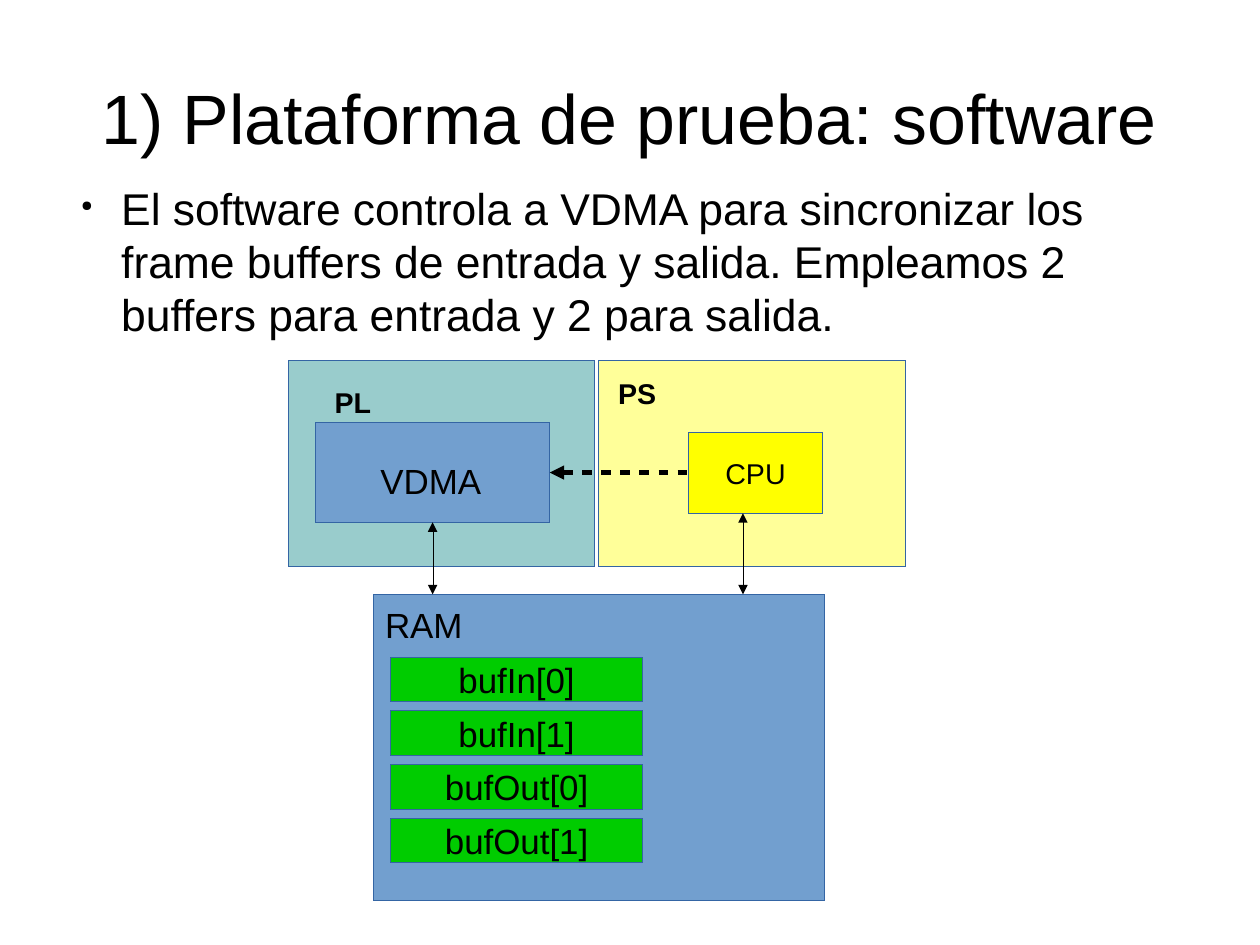
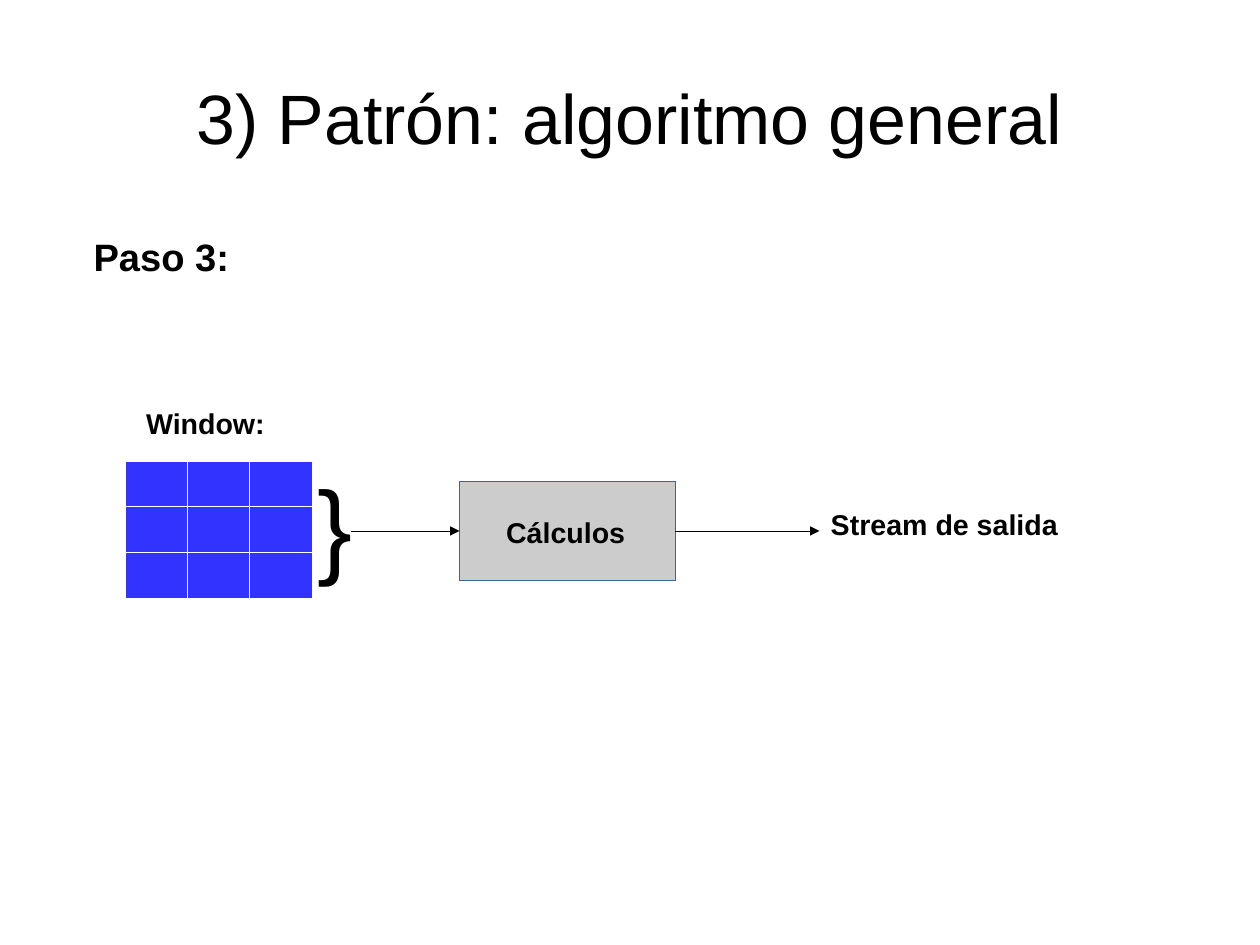
from pptx import Presentation
from pptx.dml.color import RGBColor
from pptx.enum.shapes import MSO_CONNECTOR, MSO_SHAPE
from pptx.enum.text import MSO_ANCHOR, MSO_AUTO_SIZE, PP_ALIGN
from pptx.oxml.ns import qn
from pptx.util import Cm, Inches, Pt
from lxml.etree import SubElement

FONT = "Arial"
BLACK = RGBColor(0x00, 0x00, 0x00)
WHITE = RGBColor(0xFF, 0xFF, 0xFF)
OUTLINE = RGBColor(0x34, 0x65, 0xA4)
TEAL = RGBColor(0x99, 0xCC, 0xCC)
BLUE = RGBColor(0x72, 0x9F, 0xCF)
PALE_YELLOW = RGBColor(0xFF, 0xFF, 0x99)
YELLOW = RGBColor(0xFF, 0xFF, 0x00)
GREEN = RGBColor(0x00, 0xCC, 0x00)
GRAY = RGBColor(0xCC, 0xCC, 0xCC)
CELL_BLUE = RGBColor(0x33, 0x33, 0xFF)

LEFT, BOTTOM, RIGHT = 1, 2, 3


def write(frame, text, size=18, bold=False, align=PP_ALIGN.LEFT,
          anchor=MSO_ANCHOR.TOP, wrap=False, margins=(0.1, 0.05)):
    """Fill a text frame with one formatted paragraph and return it."""
    frame.word_wrap = wrap
    frame.vertical_anchor = anchor
    frame.margin_left = frame.margin_right = Inches(margins[0])
    frame.margin_top = frame.margin_bottom = Inches(margins[1])
    para = frame.paragraphs[0]
    para.alignment = align
    span = para.add_run()
    span.text = text
    span.font.name = FONT
    span.font.size = Pt(size)
    span.font.bold = bold
    span.font.color.rgb = BLACK
    return para


def set_stroke(line, color, weight):
    """Colour a line and write its width even when it is a hairline."""
    line.color.rgb = color
    stroke = line._get_or_add_ln()
    stroke.set("w", str(Pt(weight)))
    return stroke


class SlideBuilder:
    def __init__(self):
        self.deck = Presentation()
        self.deck.slide_width = Cm(28)
        self.deck.slide_height = Cm(21)
        self.page = None

    def start(self, title):
        """Add a blank slide with the shared title."""
        self.page = self.deck.slides.add_slide(self.deck.slide_layouts[6])
        self.text(title, 0.55, 0.33, 9.92, 1.38, size=44, align=PP_ALIGN.CENTER,
                  anchor=MSO_ANCHOR.MIDDLE, wrap=True, margins=(0, 0))

    def text(self, text, left, top, width, height, **style):
        box = self.page.shapes.add_textbox(
            Inches(left), Inches(top), Inches(width), Inches(height))
        para = write(box.text_frame, text, **style)
        if not box.text_frame.word_wrap:
            box.text_frame.auto_size = MSO_AUTO_SIZE.SHAPE_TO_FIT_TEXT
        return para

    def bullet(self, text, left, top, width, height):
        para = self.text(text, left, top, width, height, size=28,
                         wrap=True, margins=(0, 0))
        props = para._p.get_or_add_pPr()
        props.set("marL", str(Inches(0.47)))
        props.set("indent", str(Inches(-0.35)))
        SubElement(props, qn("a:buSzPct")).set("val", "33000")
        SubElement(props, qn("a:buChar")).set("char", "●")

    def rect(self, left, top, width, height, color, text=None, size=18):
        shape = self.page.shapes.add_shape(
            MSO_SHAPE.RECTANGLE,
            Inches(left), Inches(top), Inches(width), Inches(height))
        shape.shadow.inherit = False
        shape.fill.solid()
        shape.fill.fore_color.rgb = color
        set_stroke(shape.line, OUTLINE, 0)
        if text:
            write(shape.text_frame, text, size=size, align=PP_ALIGN.CENTER,
                  anchor=MSO_ANCHOR.MIDDLE)
        return shape

    def arrow(self, start, end, begin=None, finish=None, weight=0,
              dashed=False, heads=("tailEnd",)):
        """Draw a line; begin and finish are (shape, side) pairs to join."""
        line = self.page.shapes.add_connector(
            MSO_CONNECTOR.STRAIGHT, *map(Inches, start + end))
        if begin:
            line.begin_connect(*begin)
        if finish:
            line.end_connect(*finish)
        stroke = set_stroke(line.line, BLACK, weight)
        if dashed:
            dash = SubElement(SubElement(stroke, qn("a:custDash")), qn("a:ds"))
            dash.set("d", "200000")
            dash.set("sp", "200000")
        for head in heads:
            SubElement(stroke, qn(f"a:{head}")).set("type", "triangle")
        SubElement(line._element.spPr, qn("a:effectLst"))

    def grid(self, left, top, width, height, rows, columns, color):
        """Add an empty table with thin white borders."""
        table = self.page.shapes.add_table(
            rows, columns, Inches(left), Inches(top),
            Inches(width), Inches(height)).table
        for cell in table.iter_cells():
            props = cell._tc.get_or_add_tcPr()
            for side in ("lnL", "lnR", "lnT", "lnB"):
                border = SubElement(props, qn(f"a:{side}"))
                border.set("w", str(Pt(0.06)))
                paint = SubElement(border, qn("a:solidFill"))
                SubElement(paint, qn("a:srgbClr")).set("val", str(WHITE))
            cell.fill.solid()
            cell.fill.fore_color.rgb = color


def build_platform(slides):
    slides.start("1) Plataforma de prueba: software")
    slides.bullet(
        "El software controla a VDMA para sincronizar los frame buffers de "
        "entrada y salida. Empleamos 2 buffers para entrada y 2 para salida.",
        0.59, 1.58, 9.92, 4.79)

    slides.rect(2.52, 3.15, 2.68, 1.81, TEAL)
    vdma = slides.rect(2.76, 3.7, 2.05, 0.87, BLUE)
    slides.text("VDMA", 3.23, 3.97, 1.08, 0.44, size=22)
    slides.rect(3.27, 5.2, 3.94, 2.68, BLUE)
    slides.text("RAM", 3.27, 5.23, 0.88, 0.44, size=22)
    slides.text("PL", 2.83, 3.32, 0.55, 0.38, bold=True, wrap=True)

    slides.rect(5.24, 3.15, 2.68, 1.81, PALE_YELLOW)
    slides.text("PS", 5.31, 3.24, 0.55, 0.38, bold=True, wrap=True)
    cpu = slides.rect(6.02, 3.78, 1.18, 0.71, YELLOW, "CPU")

    both = ("headEnd", "tailEnd")
    vdma_x = 2.76 + 2.05 / 2
    vdma_y = 3.7 + 0.87 / 2
    slides.arrow((4.81, vdma_y), (6.02, vdma_y), (vdma, RIGHT), (cpu, LEFT),
                 weight=3, dashed=True, heads=("headEnd",))
    slides.arrow((vdma_x, 5.2), (vdma_x, 4.57), finish=(vdma, BOTTOM),
                 heads=both)
    buffers = ("bufIn[0]", "bufIn[1]", "bufOut[0]", "bufOut[1]")
    for index, name in enumerate(buffers):
        slides.rect(3.42, 5.75 + index * 0.47, 2.2, 0.39, GREEN, name, size=22)
    slides.arrow((6.5, 5.2), (6.5, 4.49), heads=both)


def build_algorithm(slides):
    slides.start("3) Patrón: algoritmo general")
    slides.text("Paso 3:", 0.72, 1.99, 2.78, 0.47, size=24, bold=True, wrap=True)
    slides.grid(1.09, 4.03, 1.64, 1.15, 3, 3, CELL_BLUE)
    slides.text("Window:", 1.18, 3.5, 1.24, 0.38, bold=True)
    slides.text("Stream de salida", 7.17, 4.39, 2.2, 0.38, bold=True)
    calculations = slides.rect(4.02, 4.21, 1.89, 0.87, GRAY)
    slides.text("Cálculos", 4.33, 4.46, 1.24, 0.38, bold=True)
    middle = 4.21 + 0.87 / 2
    slides.arrow((5.91, middle), (7.17, middle), begin=(calculations, RIGHT))
    slides.arrow((3.07, middle), (4.02, middle), finish=(calculations, LEFT))
    slides.text("}", 2.68, 3.98, 0.48, 1.12, size=66, wrap=True)


def main():
    slides = SlideBuilder()
    build_platform(slides)
    build_algorithm(slides)
    slides.deck.save("out.pptx")


if __name__ == "__main__":
    main()
